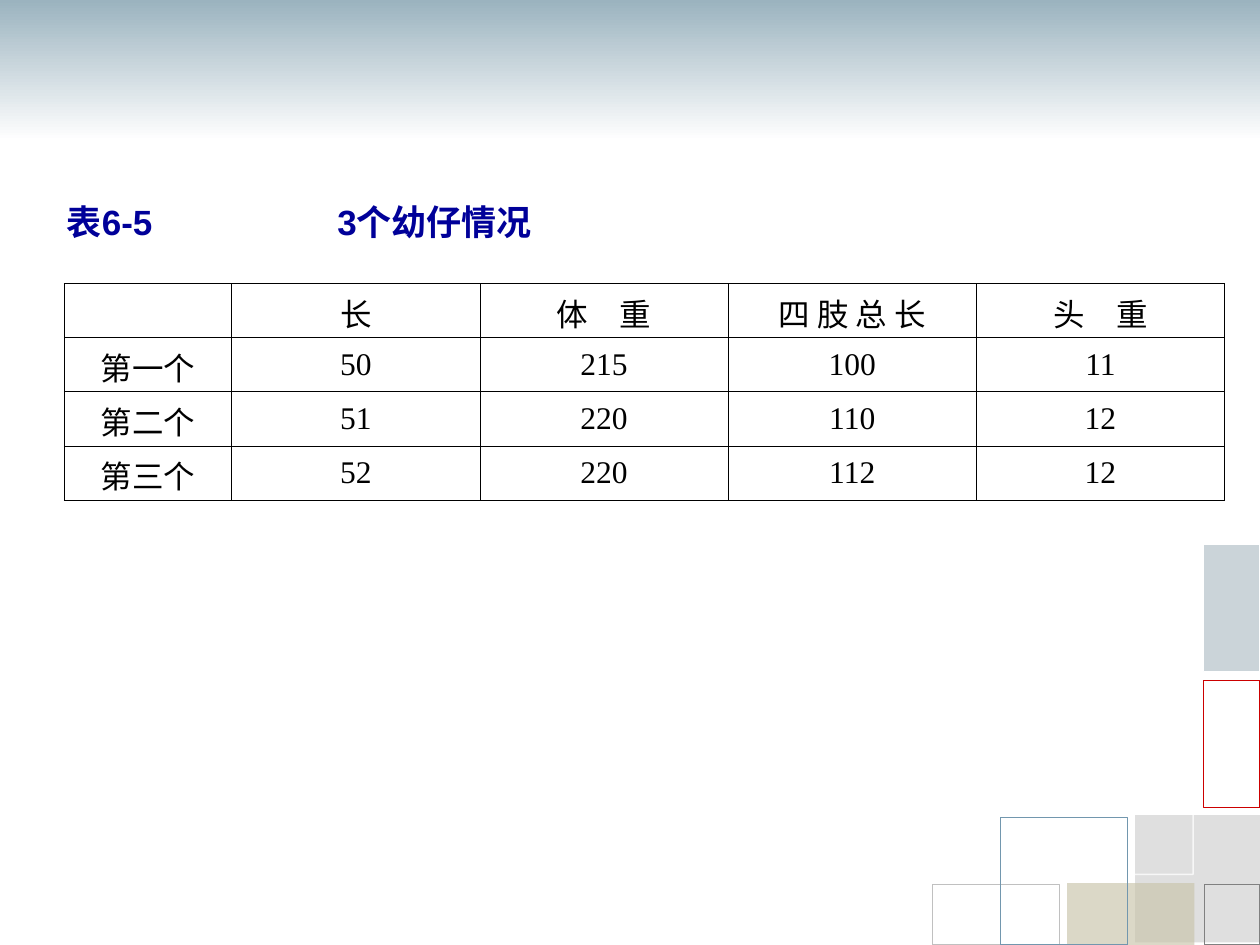
from lxml import etree
from pptx import Presentation
from pptx.dml.color import RGBColor
from pptx.enum.shapes import MSO_SHAPE
from pptx.enum.text import MSO_ANCHOR, MSO_AUTO_SIZE, PP_ALIGN
from pptx.oxml.ns import qn
from pptx.util import Inches, Pt

RECT = MSO_SHAPE.RECTANGLE
MIDDLE = MSO_ANCHOR.MIDDLE
LEFT, CENTER = PP_ALIGN.LEFT, PP_ALIGN.CENTER

# Content
CAPTION = "表6-5\t3个幼仔情况"
ROWS = [
    ("", "长", "体　重", "四 肢 总 长", "头　重"),
    ("第一个", "50", "215", "100", "11"),
    ("第二个", "51", "220", "110", "12"),
    ("第三个", "52", "220", "112", "12"),
]
COLUMN_WIDTHS = [1.33] + [1.97] * 4
ROW_HEIGHT = 0.43

# Header bands: left, top, first colour, last colour
BANDS = [(-0.01, -0.01, "FFFFFF", "C0CFD6"), (0, 0, "9BB3BF", "FFFFFF")]

# Corner squares: box, fill (colour, opacity %), line (colour, points, opacity %)
SQUARES = [
    ((9.56, 7.02, 0.44, 0.48), None, ("808080", 0.75, 100)),
    ((9.01, 6.47, 1.01, 1.01), ("808080", 25), None),
    ((8.47, 7.01, 1.01, 0.49), ("C9C5AB", 66), None),
    ((9.55, 5.4, 0.45, 1.01), None, ("CC0000", 0.79, 100)),
    ((7.4, 7.02, 1.01, 0.48), None, ("C0C0C0", 0.75, 100)),
    ((8.46, 5.93, 1.01, 1.01), None, ("FFFFFF", 0.75, 76)),
    ((9.55, 4.32, 0.45, 1.01), ("46667A", 28), ("FFFFFF", 0.75, 100)),
    ((7.94, 6.49, 1.01, 1.01), None, ("7297AE", 0.75, 100)),
]


def color(hex_text):
    return RGBColor.from_string(hex_text)


def paint(fill, hex_text, opacity=100):
    """Solid fill, with transparency when opacity is below 100."""
    fill.solid()
    fill.fore_color.rgb = color(hex_text)
    if opacity < 100:
        for node in fill._xPr.iter(qn("a:srgbClr")):
            etree.SubElement(node, qn("a:alpha"), val=str(opacity * 1000))


def add_rectangle(page, box):
    shape = page.shapes.add_shape(RECT, *map(Inches, box))
    shape.shadow.inherit = False
    shape.fill.background()
    shape.line.fill.background()
    return shape


def add_band(page, left, top, first, last):
    fill = add_rectangle(page, (left, top, 10, 1.12)).fill
    fill.gradient()
    fill.gradient_angle = 270
    for stop, position, hex_text in zip(fill.gradient_stops, (0, 1), (first, last)):
        stop.position = position
        stop.color.rgb = color(hex_text)


def add_square(page, box, fill, line):
    shape = add_rectangle(page, box)
    if fill:
        paint(shape.fill, *fill)
    if line:
        hex_text, width, opacity = line
        shape.line.width = Pt(width)
        paint(shape.line.fill, hex_text, opacity)


def add_text(para, text, font, size, hex_text, bold=False):
    span = para.add_run()
    span.text = text
    span.font.name = font
    span.font.size = Pt(size)
    span.font.bold = bold
    span.font.color.rgb = color(hex_text)


def add_caption(page):
    title = page.shapes.title
    title.left, title.top, title.width, title.height = map(
        Inches, (0.43, 1.54, 9.14, 0.44))
    frame = title.text_frame
    frame.word_wrap = True
    frame.auto_size = MSO_AUTO_SIZE.SHAPE_TO_FIT_TEXT
    frame.vertical_anchor = MIDDLE
    para = frame.paragraphs[0]
    para.alignment = LEFT
    tabs = etree.SubElement(para._p.get_or_add_pPr(), qn("a:tabLst"))
    etree.SubElement(tabs, qn("a:tab"), pos=str(Inches(2.92)), algn="ctr")
    add_text(para, CAPTION, "Arial", 20, "000099", bold=True)


def add_borders(cell):
    properties = cell._tc.get_or_add_tcPr()
    for side in ("lnL", "lnR", "lnT", "lnB"):
        line = etree.SubElement(properties, qn(f"a:{side}"), w=str(Pt(0.45)))
        fill = etree.SubElement(line, qn("a:solidFill"))
        etree.SubElement(fill, qn("a:srgbClr"), val="000000")


def add_litter_table(page):
    table = page.shapes.add_table(
        len(ROWS), len(COLUMN_WIDTHS), Inches(0.51), Inches(2.25),
        Inches(sum(COLUMN_WIDTHS)), Inches(ROW_HEIGHT * len(ROWS))).table
    table.first_row = table.horz_banding = False
    for column, width in zip(table.columns, COLUMN_WIDTHS):
        column.width = Inches(width)
    for row, values in zip(table.rows, ROWS):
        row.height = Inches(ROW_HEIGHT)
        for cell, value in zip(row.cells, values):
            add_borders(cell)
            cell.fill.background()
            cell.vertical_anchor = MIDDLE
            para = cell.text_frame.paragraphs[0]
            para.alignment = CENTER
            if value:
                add_text(para, value, "Times New Roman", 18, "000000")


def main():
    deck = Presentation()
    deck.slide_width, deck.slide_height = Inches(10), Inches(7.5)
    page = deck.slides.add_slide(deck.slide_layouts[5])
    paint(page.background.fill, "FFFFFF")

    # Decoration
    for band in BANDS:
        add_band(page, *band)
    for square in SQUARES:
        add_square(page, *square)

    # Caption and table
    add_caption(page)
    add_litter_table(page)
    deck.save("out.pptx")


if __name__ == "__main__":
    main()
